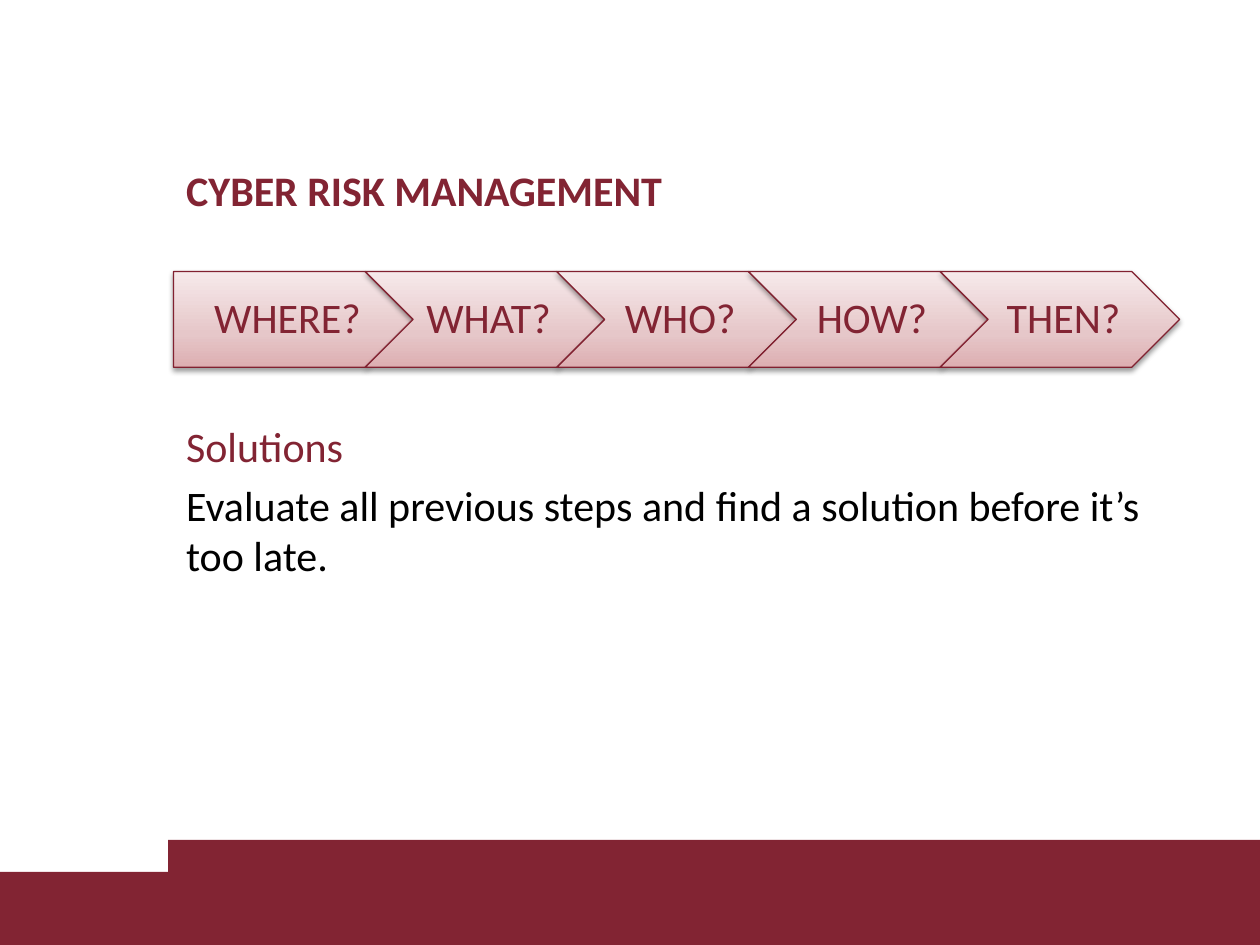
"""Build the cyber risk management slide with its five-step question chain."""
from copy import deepcopy

from lxml import etree
from pptx import Presentation
from pptx.dml.color import RGBColor
from pptx.enum.shapes import MSO_SHAPE
from pptx.enum.text import MSO_ANCHOR, PP_ALIGN
from pptx.oxml.ns import qn
from pptx.util import Pt

RECTANGLE, PENTAGON, CHEVRON = MSO_SHAPE.RECTANGLE, MSO_SHAPE.PENTAGON, MSO_SHAPE.CHEVRON
TOP, MIDDLE = MSO_ANCHOR.TOP, MSO_ANCHOR.MIDDLE
LEFT, CENTER = PP_ALIGN.LEFT, PP_ALIGN.CENTER

MAROON = RGBColor(0x82, 0x24, 0x33)
OUTLINE = RGBColor(0x81, 0x21, 0x30)
BLACK = RGBColor(0, 0, 0)
GRADIENT = [
    (0, RGBColor(0xDD, 0xAE, 0xB1)),
    (0.35, RGBColor(0xE6, 0xC7, 0xC9)),
    (1, RGBColor(0xF6, 0xE9, 0xEA)),
]

TITLE = "CYBER RISK MANAGEMENT"
STEPS = ["WHERE?", "WHAT?", "WHO?", "HOW?", "THEN?"]
SOLUTION = [
    ("Solutions", MAROON, 0),
    ("Evaluate all previous steps and find a solution before it’s too late.", BLACK, 4.8),
]
FOOTER_BANDS = [(0, 498.24), (96, 480)]

SLIDE_W, SLIDE_H = 720, 540
MARGIN = 99.2
STEP_TOP, STEP_W, STEP_H = 155.2, 136.8, 54.72
STEP_PITCH = STEP_W - STEP_H / 2 + 0.08
FONT = {"name": "Calibri", "size": Pt(24)}


def apply(target, values):
    for key, value in values.items():
        setattr(target, key, value)


def place(shape, left, top, width, height):
    apply(shape, {"left": Pt(left), "top": Pt(top), "width": Pt(width), "height": Pt(height)})


def add_text(slide, box, lines, frame_format, paragraph_format):
    frame = slide.shapes.add_textbox(*map(Pt, box)).text_frame
    apply(frame, {"word_wrap": True, **frame_format})
    for index, (text, color, space) in enumerate(lines):
        paragraph = frame.add_paragraph() if index else frame.paragraphs[0]
        paragraph.text = text
        apply(paragraph, {"space_before": Pt(space), **paragraph_format})
        apply(paragraph.font, FONT)
        paragraph.font.color.rgb = color


def add_band(slide, left, top):
    band = slide.shapes.add_shape(
        RECTANGLE, Pt(left), Pt(top), Pt(SLIDE_W - left), Pt(SLIDE_H - top))
    band.shadow.inherit = False
    band.fill.solid()
    band.fill.fore_color.rgb = MAROON
    band.line.fill.background()


def shade(step):
    step.fill.gradient()
    step.fill.gradient_angle = 90
    stop_list = step._element.spPr.find(qn("a:gradFill")).find(qn("a:gsLst"))
    stop_list.insert(1, deepcopy(stop_list[0]))
    for stop, (position, color) in zip(step.fill.gradient_stops, GRADIENT):
        stop.position = position
        stop.color.rgb = color


def cast_shadow(step):
    step.shadow.inherit = False
    effects = step._element.spPr.find(qn("a:effectLst"))
    shadow = etree.SubElement(
        effects, qn("a:outerShdw"), blurRad=str(Pt(3.15)), dist=str(Pt(1.57)),
        dir="5400000", rotWithShape="0")
    tone = etree.SubElement(shadow, qn("a:srgbClr"), val="000000")
    etree.SubElement(tone, qn("a:alpha"), val="38000")


def add_step(slide, index, label):
    left = MARGIN + index * STEP_PITCH
    step = slide.shapes.add_shape(
        CHEVRON if index else PENTAGON, Pt(left), Pt(STEP_TOP), Pt(STEP_W), Pt(STEP_H))
    shade(step)
    step.line.color.rgb = OUTLINE
    step.line.width = Pt(0.75)
    cast_shadow(step)
    notch = STEP_H / 2 if index else 0
    label_width = STEP_W - notch - (STEP_H / 2 if index else STEP_H / 4)
    add_text(
        slide, (left + notch, STEP_TOP, label_width, STEP_H), [(label, MAROON, 0)],
        {"vertical_anchor": MIDDLE, "margin_left": Pt(7.2 if index else 10),
         "margin_right": Pt(2.9), "margin_top": Pt(5), "margin_bottom": Pt(5)},
        {"alignment": CENTER, "line_spacing": 0.9, "space_after": Pt(8.4)})


def main():
    presentation = Presentation()
    apply(presentation, {"slide_width": Pt(SLIDE_W), "slide_height": Pt(SLIDE_H)})
    slide = presentation.slides.add_slide(presentation.slide_layouts[5])

    for left, top in FOOTER_BANDS:
        add_band(slide, left, top)

    title = slide.shapes.title
    place(title, MARGIN, 88.56, 583.92, 39.6)
    title.text_frame.text = TITLE
    title.text_frame.vertical_anchor = MIDDLE
    heading = title.text_frame.paragraphs[0]
    heading.alignment = LEFT
    apply(heading.font, {**FONT, "bold": True})
    heading.font.color.rgb = MAROON

    add_text(slide, (MARGIN, 236.88, 574.56, 149.04), SOLUTION,
             {"vertical_anchor": TOP}, {"alignment": LEFT})

    for index, label in enumerate(STEPS):
        add_step(slide, index, label)

    presentation.save("out.pptx")


if __name__ == "__main__":
    main()
